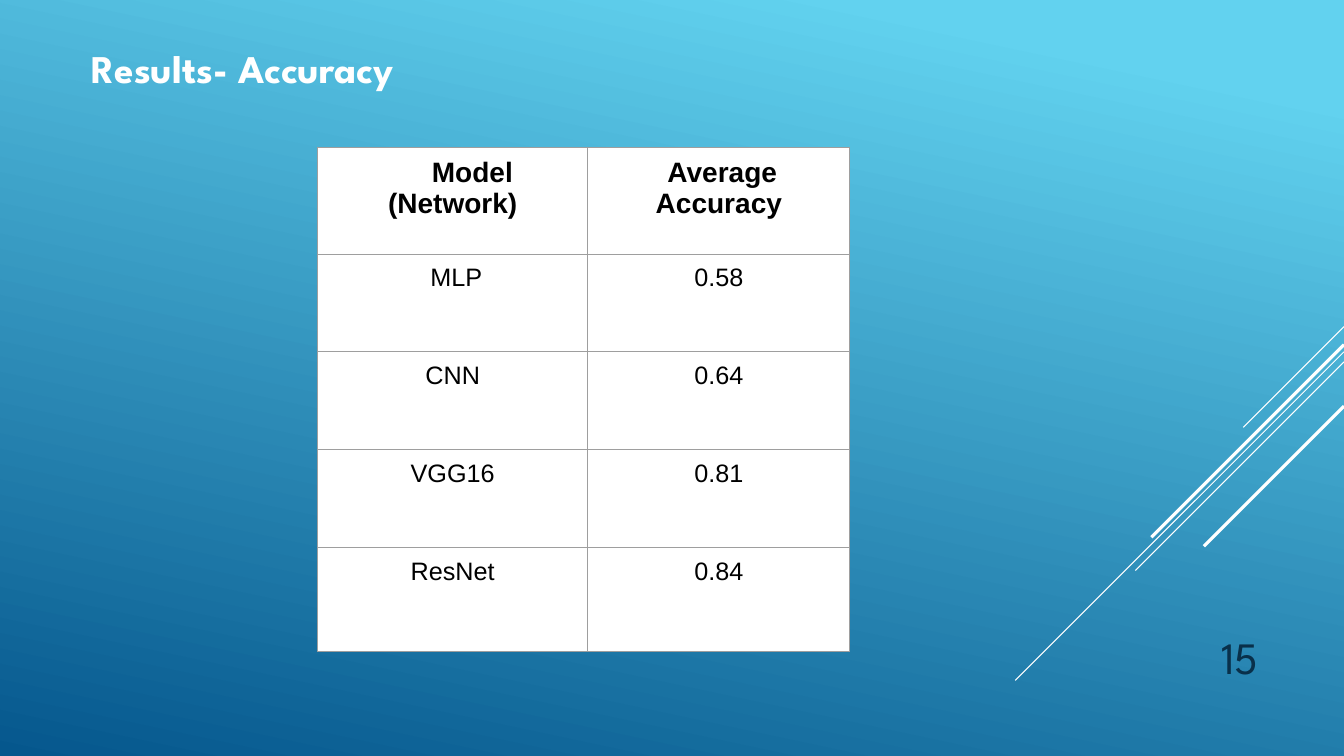
from lxml.etree import SubElement
from pptx import Presentation
from pptx.dml.color import RGBColor
from pptx.enum.shapes import MSO_CONNECTOR
from pptx.enum.text import MSO_ANCHOR, PP_ALIGN
from pptx.oxml.ns import qn
from pptx.util import Inches, Pt

WHITE = RGBColor(0xFF, 0xFF, 0xFF)
BLACK = RGBColor(0x00, 0x00, 0x00)
NAVY = RGBColor(0x09, 0x30, 0x4A)
SKY = RGBColor(0x62, 0xD2, 0xEF)
DEEP_BLUE = RGBColor(0x05, 0x57, 0x8D)
GREY = RGBColor(0x9E, 0x9E, 0x9E)
WIDTH, HEIGHT = 13.33, 7.5


def style(p, font, size, color, bold=False, align=PP_ALIGN.LEFT):
    p.alignment = align
    for r in p.runs:
        r.font.name, r.font.size, r.font.bold = font, Pt(size), bold
        r.font.color.rgb = color


def add_text(s, text, box, size, color, **look):
    tf = s.shapes.add_textbox(*map(Inches, box)).text_frame
    tf.word_wrap = True
    tf.text = text
    style(tf.paragraphs[0], "League Spartan", size, color, **look)
    return tf


prs = Presentation()
prs.slide_width, prs.slide_height = Inches(WIDTH), Inches(HEIGHT)
s = prs.slides.add_slide(prs.slide_layouts[6])

# Background
fill = s.background.fill
fill.gradient()
fill.gradient_angle = 360 - 102
for stop, position, color in zip(fill.gradient_stops, (0.1, 1), (SKY, DEEP_BLUE)):
    stop.position = position
    stop.color.rgb = color

# Diagonal lines from the right edge: top, horizontal reach, weight
for top, reach, weight in [(3.24, 1, 0.75), (3.49, 3.26, 0.75), (3.59, 2.07, 0.75),
                           (3.42, 1.91, 2.25), (4.03, 1.39, 2.25)]:
    line = s.shapes.add_connector(MSO_CONNECTOR.STRAIGHT, Inches(WIDTH), Inches(top),
                                  Inches(WIDTH - reach), Inches(top + reach))
    line.line.color.rgb = WHITE
    line.line.width = Pt(weight)
    SubElement(line._element.spPr, qn("a:effectLst"))

add_text(s, "Results- Accuracy", (0.81, 0.39, 11.48, 0.57), 28, WHITE, bold=True)

# Accuracy table
rows = [("Model (Network)", " Average Accuracy"), (" MLP", "0.58"), ("CNN", "0.64"),
        ("VGG16", "0.81"), ("ResNet", "0.84")]
col_widths = [2.68, 2.6]
row_heights = [1.06, 0.97, 0.97, 0.97, 1.03]
table = s.shapes.add_table(len(rows), len(col_widths), Inches(3.15), Inches(1.46),
                           Inches(sum(col_widths)), Inches(sum(row_heights))).table
for column, width in zip(table.columns, col_widths):
    column.width = Inches(width)
for i, (row, height, texts) in enumerate(zip(table.rows, row_heights, rows)):
    row.height = Inches(height)
    for cell, text in zip(row.cells, texts):
        cell.text = text
        cell.margin_left = cell.margin_right = Inches(0.1)
        cell.margin_top = cell.margin_bottom = Inches(0.1)
        header = i == 0
        style(cell.text_frame.paragraphs[0], "Arial", 20 if header else 18, BLACK,
              bold=header, align=PP_ALIGN.CENTER)
        tcPr = cell._tc.get_or_add_tcPr()
        for side in ("a:lnL", "a:lnR", "a:lnT", "a:lnB"):
            border = SubElement(tcPr, qn(side), w=str(Pt(0.75)))
            solid = SubElement(border, qn("a:solidFill"))
            SubElement(solid, qn("a:srgbClr"), val=str(GREY))
        cell.fill.solid()
        cell.fill.fore_color.rgb = WHITE

# The first heading starts with an indented line
pPr = table.cell(0, 0).text_frame.paragraphs[0]._p.get_or_add_pPr()
pPr.set("marL", "0")
pPr.set("indent", str(Inches(0.39)))

number = add_text(s, "15", (11.33, 6.1, 1.25, 0.73), 32, NAVY, align=PP_ALIGN.RIGHT)
number.vertical_anchor = MSO_ANCHOR.BOTTOM

prs.save("out.pptx")
